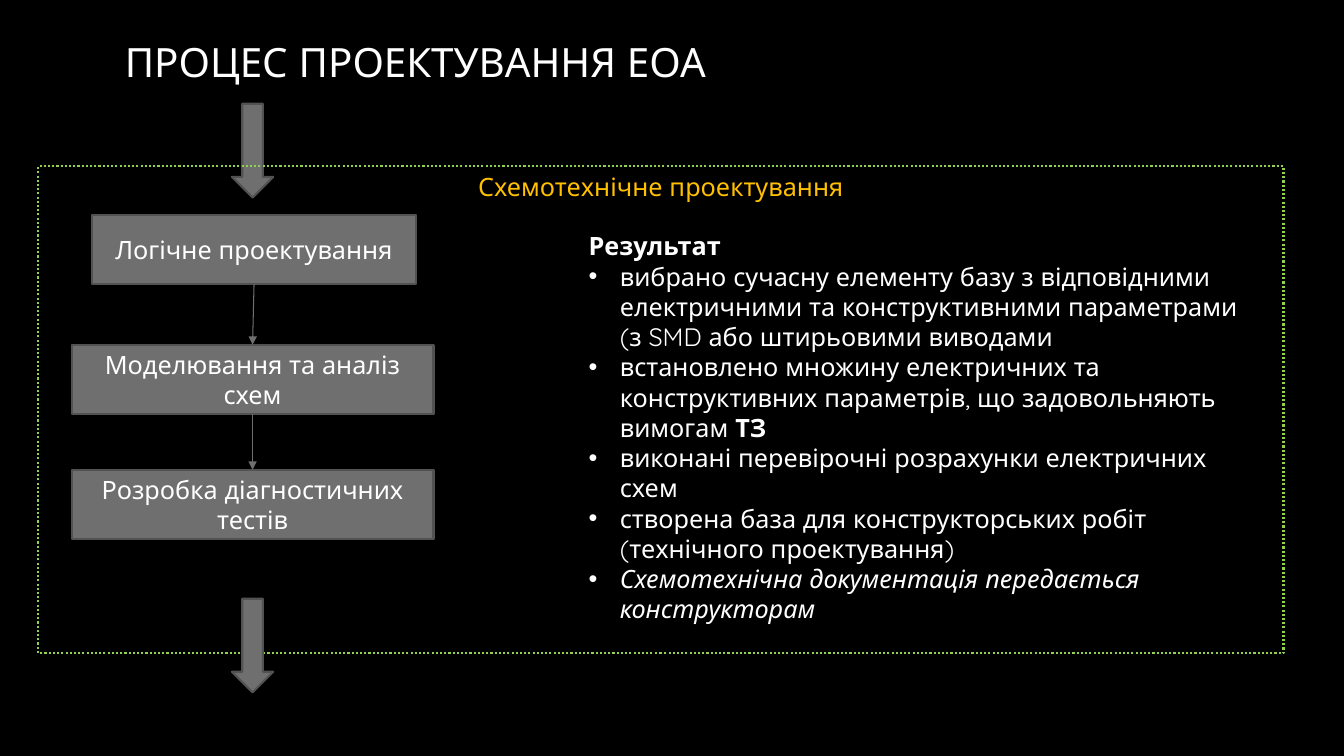
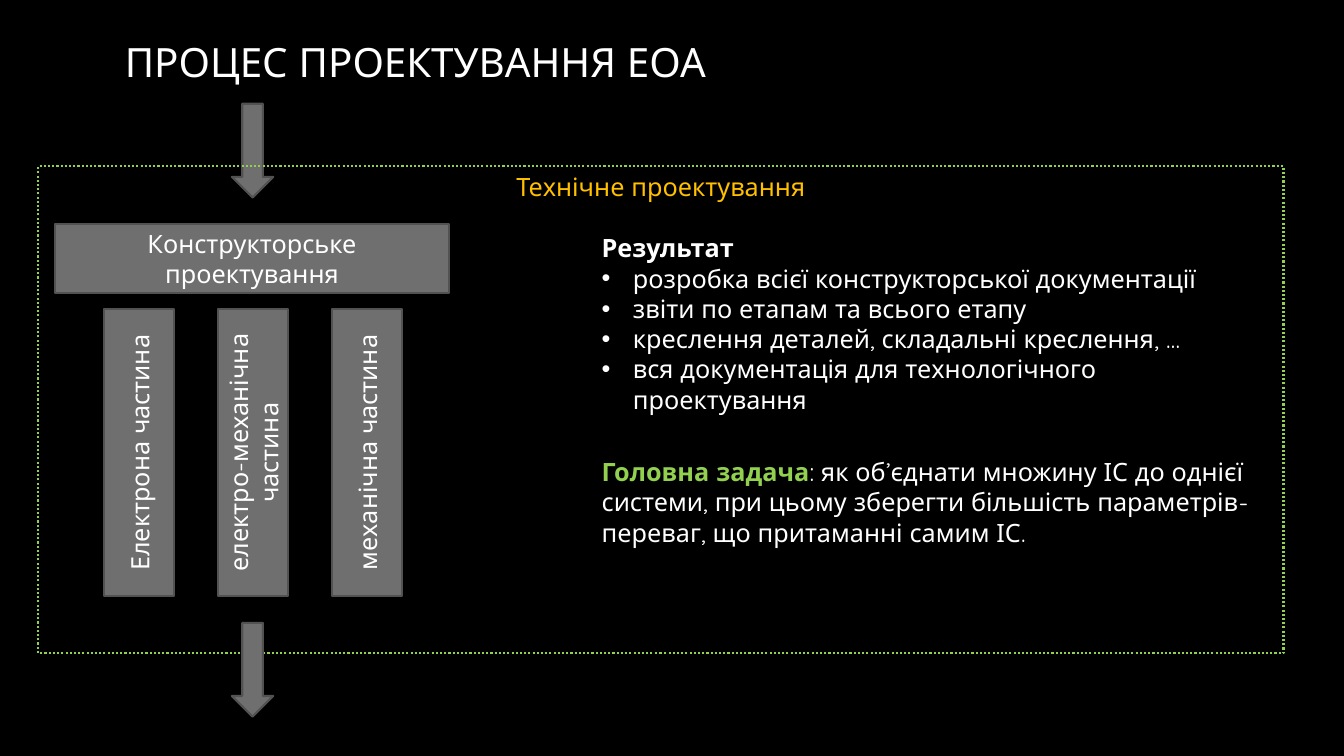
"""Build two slides on the stages of electronic equipment design."""
import lxml.etree
import pptx
import pptx.dml.color
import pptx.enum.dml
import pptx.enum.shapes
import pptx.enum.text
import pptx.oxml.ns
import pptx.util

Inches = pptx.util.Inches
Pt = pptx.util.Pt
RGBColor = pptx.dml.color.RGBColor
SHAPE = pptx.enum.shapes.MSO_SHAPE
ANCHOR = pptx.enum.text.MSO_ANCHOR
ALIGN = pptx.enum.text.PP_ALIGN
qn = pptx.oxml.ns.qn

BLACK = RGBColor(0x00, 0x00, 0x00)
WHITE = RGBColor(0xFF, 0xFF, 0xFF)
GRAY = RGBColor(0x6F, 0x6F, 0x6F)
DARK_GRAY = RGBColor(0x52, 0x52, 0x52)
GREEN = RGBColor(0x92, 0xD0, 0x50)
AMBER = RGBColor(0xFF, 0xC0, 0x00)
FONT = "Quicksand"

TITLE = "ПРОЦЕС ПРОЕКТУВАННЯ ЕОА"
BOLD = {"bold": True}
ITALIC = {"italic": True}
KEY = {"bold": True, "color": GREEN}
RESULT = [("Результат", BOLD)]

CIRCUIT_STAGE = "Схемотехнічне проектування"
CIRCUIT_STEPS = [
    ("Логічне проектування", 0.91, 2.13, 3.22),
    ("Моделювання та аналіз схем", 0.71, 3.42, 3.59),
    ("Розробка діагностичних тестів", 0.71, 4.66, 3.59),
]
CIRCUIT_RESULTS = [
    [("вибрано сучасну елементу базу з відповідними електричними та "
      "конструктивними параметрами (з SMD або штирьовими виводами", {})],
    [("встановлено множину електричних та конструктивних параметрів, "
      "що задовольняють вимогам ", {}), ("ТЗ", BOLD)],
    [("виконані перевірочні розрахунки електричних схем", {})],
    [("створена база для конструкторських робіт (технічного проектування)", {})],
    [("Схемотехнічна документація передається конструкторам", ITALIC)],
]

TECHNICAL_STAGE = "Технічне проектування"
DESIGN_STEP = "Конструкторське проектування"
DESIGN_PARTS = ["Електрона частина", "електро-механічна частина", "механічна частина"]
TECHNICAL_RESULTS = [
    [("розробка всієї конструкторської документації", {})],
    [("звіти по етапам та всього етапу", {})],
    [("креслення деталей, складальні креслення, …", {})],
    [("вся документація для технологічного проектування", {})],
]
MAIN_TASK = [
    ("Головна задача", KEY),
    (": як об’єднати множину ІС до однієї системи, при цьому зберегти більшість "
     "параметрів-переваг, що притаманні самим ІС.", {}),
]

FLOW_CENTER = 2.51
STEP_HEIGHT = 0.69
PART_LENGTH = 2.85
PART_PITCH = 1.13
PART_CENTER_Y = 4.49
HANGING = 0.31


def write_text(frame, paragraphs, size=18, color=WHITE, align=ALIGN.LEFT,
               anchor=ANCHOR.TOP, bullets_from=None):
    """Fill a text frame with paragraphs of (text, style) runs."""
    frame.word_wrap = True
    frame.vertical_anchor = anchor
    for index, runs in enumerate(paragraphs):
        paragraph = frame.add_paragraph() if index else frame.paragraphs[0]
        paragraph.alignment = align
        if bullets_from is not None and index >= bullets_from:
            properties = paragraph._p.get_or_add_pPr()
            properties.set("marL", str(Inches(HANGING)))
            properties.set("indent", str(-Inches(HANGING)))
            lxml.etree.SubElement(properties, qn("a:buFont"), typeface="Arial")
            lxml.etree.SubElement(properties, qn("a:buChar"), char="•")
        for text, style in runs:
            run = paragraph.add_run()
            run.text = text
            run.font.name = FONT
            run.font.size = Pt(size)
            run.font.bold = style.get("bold", False)
            run.font.italic = style.get("italic", False)
            run.font.color.rgb = style.get("color", color)


def add_text(slide, paragraphs, left, top, width, height, **text_format):
    """Add a text box."""
    box = slide.shapes.add_textbox(Inches(left), Inches(top), Inches(width), Inches(height))
    write_text(box.text_frame, paragraphs, **text_format)


def add_block(slide, left, top, width, height, kind=SHAPE.RECTANGLE,
              fill=GRAY, outline=DARK_GRAY):
    """Add an outlined shape, hollow when fill is None."""
    block = slide.shapes.add_shape(kind, Inches(left), Inches(top), Inches(width), Inches(height))
    block.shadow.inherit = False
    if fill is None:
        block.fill.background()
    else:
        block.fill.solid()
        block.fill.fore_color.rgb = fill
    block.line.color.rgb = outline
    block.line.width = Pt(1.5)
    return block


def add_step(slide, text, left, top, width):
    """Add a gray box with a centred label."""
    step = add_block(slide, left, top, width, STEP_HEIGHT)
    write_text(step.text_frame, [[(text, {})]], align=ALIGN.CENTER, anchor=ANCHOR.MIDDLE)
    return step


def add_flow_arrow(slide, top):
    """Add a block arrow on the axis of the flow."""
    add_block(slide, FLOW_CENTER - 0.21, top, 0.41, 0.93, SHAPE.DOWN_ARROW)


def link_steps(slide, upper, lower):
    """Join two steps with a thin arrow."""
    link = slide.shapes.add_connector(pptx.enum.shapes.MSO_CONNECTOR.STRAIGHT, 0, 0, 0, 0)
    link.begin_connect(upper, 2)
    link.end_connect(lower, 0)
    link.line.color.rgb = GRAY
    link.line.width = Pt(0.75)
    lxml.etree.SubElement(link.line._get_or_add_ln(), qn("a:tailEnd"), type="triangle")
    lxml.etree.SubElement(link._element.spPr, qn("a:effectLst"))


def add_stage_slide(deck, stage, exit_top):
    """Add a slide with the title, both flow arrows and the stage frame."""
    slide = deck.slides.add_slide(deck.slide_layouts[6])
    add_text(slide, [[(TITLE, {})]], 1.14, 0.36, 10.83, 0.5, size=28.8, anchor=ANCHOR.MIDDLE)
    add_flow_arrow(slide, 1.03)
    frame = add_block(slide, 0.38, 1.65, 12.35, 4.83, fill=None, outline=GREEN)
    frame.line.dash_style = pptx.enum.dml.MSO_LINE.ROUND_DOT
    write_text(frame.text_frame, [[(stage, {})]], color=AMBER, align=ALIGN.CENTER)
    add_flow_arrow(slide, exit_top)
    return slide


def build_circuit_slide(deck):
    """Show the steps and results of circuit design."""
    slide = add_stage_slide(deck, CIRCUIT_STAGE, 5.94)
    steps = [add_step(slide, *step) for step in CIRCUIT_STEPS]
    for upper, lower in zip(steps, steps[1:]):
        link_steps(slide, upper, lower)
    add_text(slide, [RESULT] + CIRCUIT_RESULTS, 5.74, 2.24, 6.86, 4.04, bullets_from=1)


def build_technical_slide(deck):
    """Show the parts, results and main task of technical design."""
    slide = add_stage_slide(deck, TECHNICAL_STAGE, 6.18)
    add_step(slide, DESIGN_STEP, 0.55, 2.22, 3.9)
    for index, part in enumerate(DESIGN_PARTS):
        center = FLOW_CENTER + (index - 1) * PART_PITCH
        step = add_step(slide, part, center - PART_LENGTH / 2,
                        PART_CENTER_Y - STEP_HEIGHT / 2, PART_LENGTH)
        step.rotation = 270
    add_text(slide, [RESULT] + TECHNICAL_RESULTS, 5.87, 2.26, 6.86, 1.62, bullets_from=1)
    add_text(slide, [MAIN_TASK], 5.87, 4.48, 6.86, 1.01)


def main():
    """Build and save the presentation."""
    deck = pptx.Presentation()
    deck.slide_width = Inches(13.33)
    deck.slide_height = Inches(7.5)
    background = deck.slide_master.background.fill
    background.solid()
    background.fore_color.rgb = BLACK
    build_circuit_slide(deck)
    build_technical_slide(deck)
    deck.save("out.pptx")


if __name__ == "__main__":
    main()
